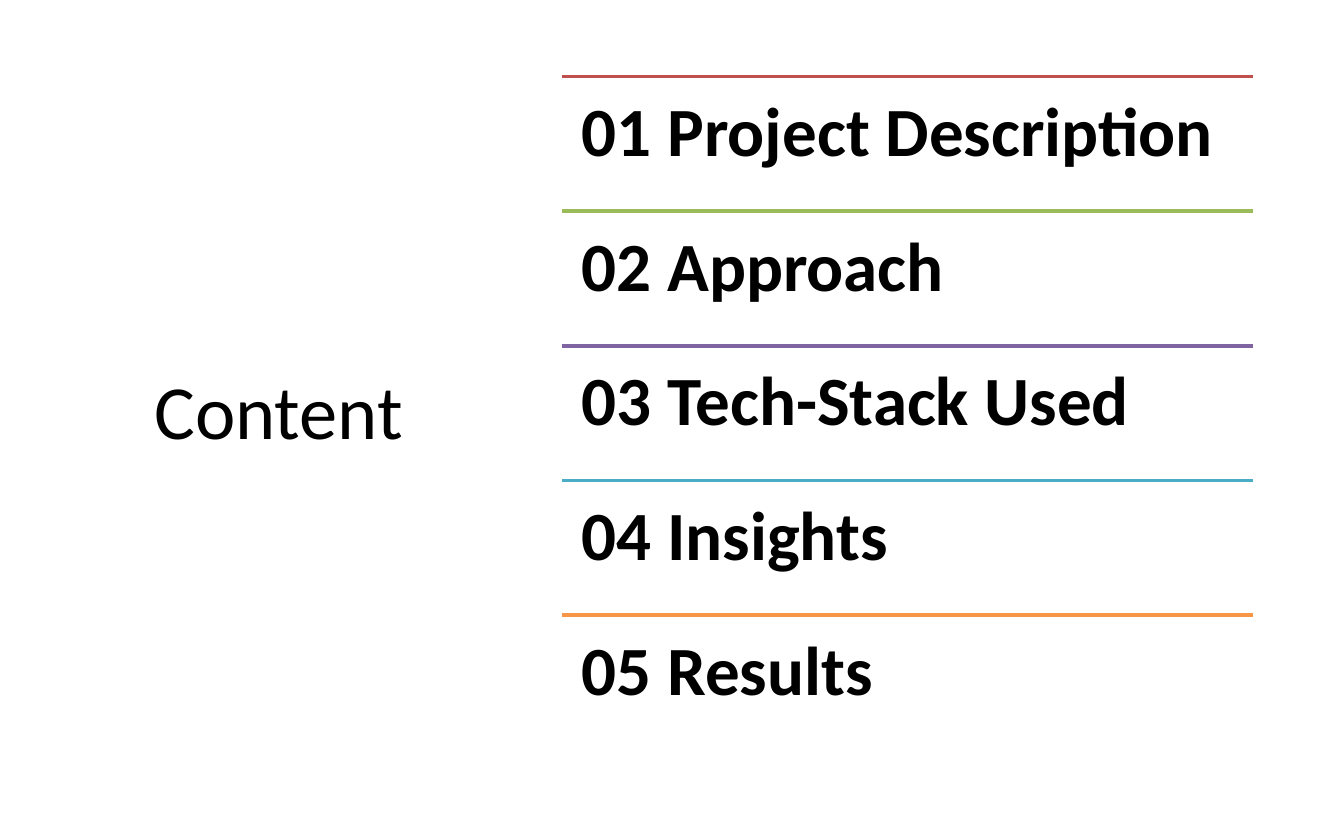
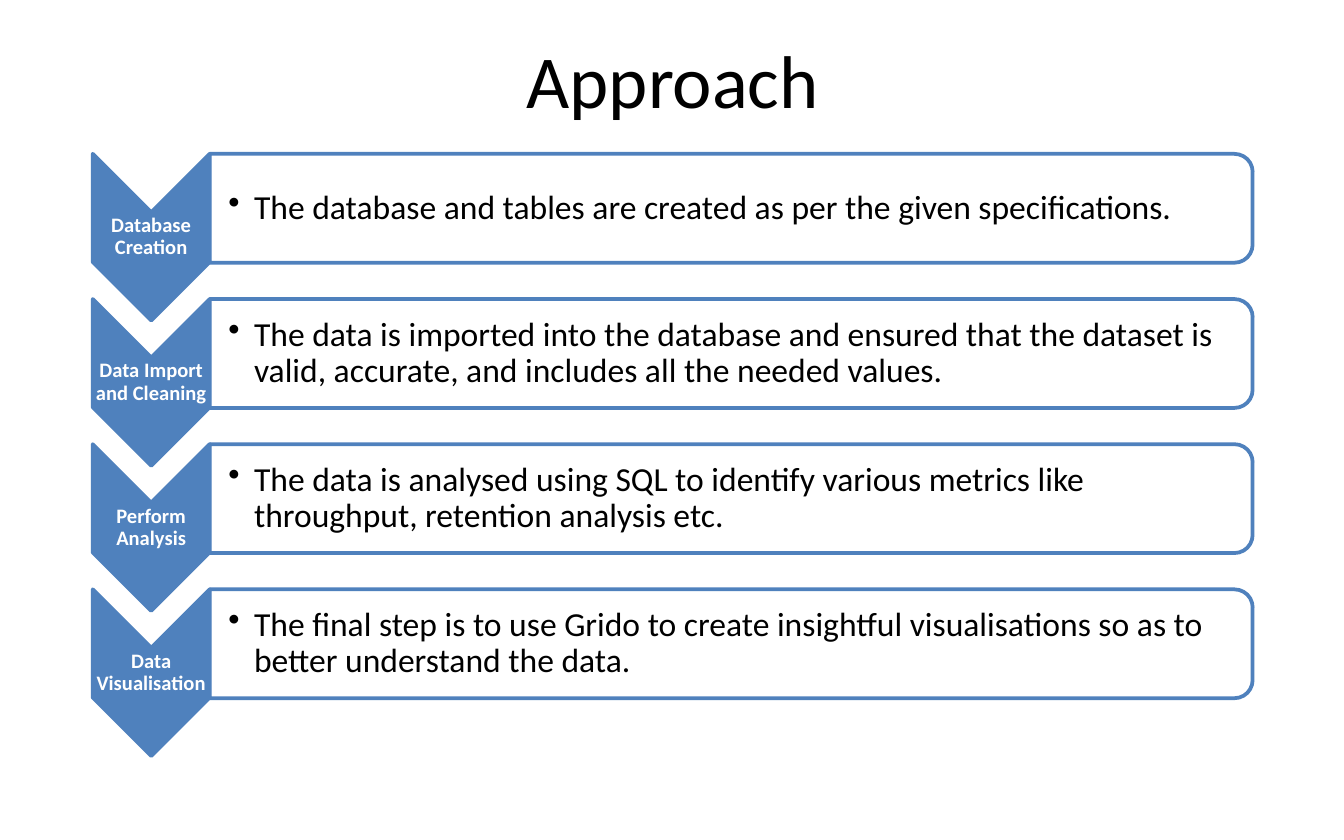
"""Build a two-slide deck with an agenda and a four-step approach."""
from dataclasses import dataclass

from lxml.etree import SubElement
from pptx import Presentation
from pptx.dml.color import RGBColor
from pptx.enum.shapes import MSO_CONNECTOR as Connector, MSO_SHAPE as Preset
from pptx.enum.text import MSO_ANCHOR as Anchor, PP_ALIGN as Align
from pptx.oxml.ns import qn
from pptx.util import Inches, Pt

COLUMNS, ROWS = 100, 62.5
CELL = Inches(0.1)


@dataclass(frozen=True)
class Theme:
    font: str = "Calibri"
    ink: str = "000000"
    paper: str = "FFFFFF"
    accent: str = "4F81BD"
    rules: tuple = ("C0504D", "9BBB59", "8064A2", "4BACC6", "F79646")
    agenda_title_size: int = 41
    title_size: int = 40
    agenda_size: int = 37
    body_size: int = 18
    label_size: int = 11
    line_width: int = 2
    line_spacing: float = 0.9
    panel_opacity: int = 90


def cells(*counts):
    return [round(count * CELL) for count in counts]


class Deck:
    def __init__(self, theme):
        self.theme = theme
        self.presentation = Presentation()
        self.presentation.slide_width, self.presentation.slide_height = cells(COLUMNS, ROWS)
        self.slide = None

    def format_runs(self, paragraph, size, color, bold=False):
        for run in paragraph.runs:
            run.font.name = self.theme.font
            run.font.size = Pt(size)
            run.font.bold = bold
            run.font.color.rgb = RGBColor.from_string(color)

    def add_slide(self, title, area, size):
        self.slide = self.presentation.slides.add_slide(self.presentation.slide_layouts[5])
        shape = self.slide.shapes.title
        shape.left, shape.top, shape.width, shape.height = cells(*area)
        frame = shape.text_frame
        frame.text = title
        frame.vertical_anchor = Anchor.MIDDLE
        frame.paragraphs[0].alignment = Align.CENTER
        self.format_runs(frame.paragraphs[0], size, self.theme.ink)

    def add_text(self, text, area, size, color, bold=False, align=Align.LEFT,
                 anchor=Anchor.MIDDLE, inset=0.1, left_inset=None, bullet_indent=None):
        frame = self.slide.shapes.add_textbox(*cells(*area)).text_frame
        frame.word_wrap = True
        frame.vertical_anchor = anchor
        frame.margin_left, frame.margin_top, frame.margin_right, frame.margin_bottom = cells(
            left_inset or inset, inset, inset, inset)
        frame.text = text
        paragraph = frame.paragraphs[0]
        paragraph.alignment = align
        paragraph.line_spacing = self.theme.line_spacing
        if bullet_indent:
            indent = cells(bullet_indent)[0]
            properties = paragraph._p.get_or_add_pPr()
            properties.set("marL", str(indent))
            properties.set("indent", str(-indent))
            SubElement(properties, qn("a:buChar")).set("char", "•")
        self.format_runs(paragraph, size, color, bold)

    def add_rule(self, left, top, width, color):
        rule = self.slide.shapes.add_connector(
            Connector.STRAIGHT, *cells(left, top, left + width, top))
        rule.line.color.rgb = RGBColor.from_string(color)
        rule.line.width = Pt(self.theme.line_width)
        SubElement(rule._element.spPr, qn("a:effectLst"))

    def add_turned_shape(self, preset, area, fill, opacity=100):
        left, top, width, height = area
        shift = (width - height) / 2
        shape = self.slide.shapes.add_shape(
            preset, *cells(left + shift, top - shift, height, width))
        shape.rotation = 90
        shape.shadow.inherit = False
        shape.fill.solid()
        shape.fill.fore_color.rgb = RGBColor.from_string(fill)
        if opacity < 100:
            color = shape._element.spPr.find(qn("a:solidFill"))[0]
            SubElement(color, qn("a:alpha")).set("val", str(opacity * 1000))
        shape.line.color.rgb = RGBColor.from_string(self.theme.accent)
        shape.line.width = Pt(self.theme.line_width)


def add_agenda(deck):
    theme = deck.theme
    topics = ("Project Description", "Approach", "Tech-Stack Used", "Insights", "Results")
    left, top, width, pitch = 41.8, 5.7, 51.4, 10.02
    deck.add_slide("Content", (6.9, 5.1, 27.7, 50.7), theme.agenda_title_size)
    for index, (topic, color) in enumerate(zip(topics, theme.rules)):
        row = top + index * pitch
        deck.add_rule(left, row, width, color)
        deck.add_text(f"{index + 1:02} {topic}", (left, row, width, pitch), theme.agenda_size,
                      theme.ink, bold=True, anchor=Anchor.TOP, inset=1.5)


def add_approach(deck):
    theme = deck.theme
    steps = (
        ("Database Creation",
         "The database and tables are created as per the given specifications."),
        ("Data Import and Cleaning ",
         "The data is imported into the database and ensured that the dataset is valid, "
         "accurate, and includes all the needed values."),
        ("Perform Analysis",
         "The data is analysed using SQL to identify various metrics like throughput, "
         "retention analysis etc."),
        ("Data Visualisation",
         "The final step is to use Grido to create insightful visualisations so as to "
         "better understand the data. "),
    )
    left, top, pitch = 6.9, 11.45, 10.8
    arrow_width, panel_width = 8.7, 77.6
    panel_left = left + arrow_width
    deck.add_slide("Approach", (2.7, 0, 94.7, 11.7), theme.title_size)
    for index, (label, detail) in enumerate(steps):
        row = top + index * pitch
        deck.add_turned_shape(Preset.CHEVRON, (left, row, arrow_width, 12.4), theme.accent)
        deck.add_text(label, (left, row + 4.35, arrow_width, 3.7), theme.label_size,
                      theme.paper, bold=True, align=Align.CENTER)
        deck.add_turned_shape(Preset.ROUND_2_SAME_RECTANGLE, (panel_left, row, panel_width, 8.1),
                              theme.paper, theme.panel_opacity)
        deck.add_text(detail, (panel_left, row + 0.4, panel_width - 0.4, 7.3), theme.body_size,
                      theme.ink, left_inset=1.4, bullet_indent=1.9)


def main():
    deck = Deck(Theme())
    add_agenda(deck)
    add_approach(deck)
    deck.presentation.save("out.pptx")


if __name__ == "__main__":
    main()
